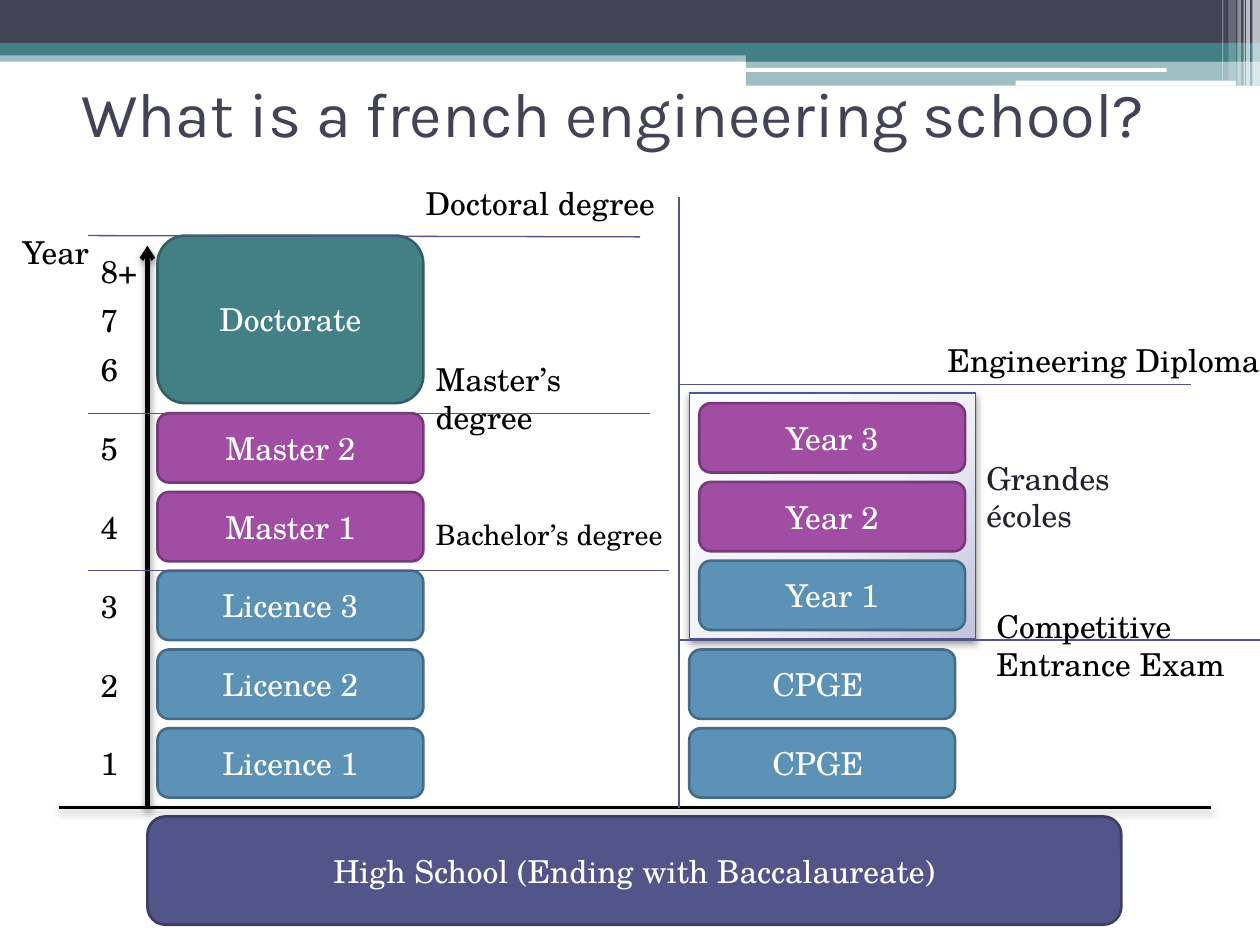
from pptx import Presentation
from pptx.dml.color import RGBColor
from pptx.enum.shapes import MSO_CONNECTOR, MSO_SHAPE
from pptx.enum.text import MSO_ANCHOR, PP_ALIGN
from pptx.oxml import parse_xml
from pptx.oxml.ns import nsdecls, qn
from pptx.util import Inches, Pt
from lxml.etree import SubElement

WHITE = RGBColor(0xFF, 0xFF, 0xFF)
BLACK = RGBColor(0, 0, 0)
INK = RGBColor(0x21, 0x22, 0x2B)
SLATE = RGBColor(0x42, 0x44, 0x56)
TEAL = RGBColor(0x43, 0x80, 0x86)
PINE = RGBColor(0x32, 0x5F, 0x63)
INDIGO = RGBColor(0x53, 0x54, 0x8A)
NAVY = RGBColor(0x3D, 0x3E, 0x66)
BLUE = RGBColor(0x5C, 0x92, 0xB5)
STEEL = RGBColor(0x44, 0x6C, 0x86)
PURPLE = RGBColor(0xA0, 0x4D, 0xA3)
PLUM = RGBColor(0x76, 0x39, 0x79)

SERIF = "TeX Gyre Schola"
STEP = 0.625
BASE = 5.78
WIDE, HIGH = 2.11, 0.55
LEFT, RIGHT = 1.25, 5.47
RULE = 5.39
FLOOR = 6.41

BANDS = [
    (0, 0.4, 10, 0.09, TEAL, 50),
    (0, 0, 10, 0.34, SLATE, 100),
    (0, 0.34, 10, 0.1, TEAL, 100),
    (5.92, 0.39, 4.08, 0.1, TEAL, 100),
    (5.92, 0.48, 4.08, 0.2, TEAL, 50),
]
SLOTS = [(5.91, 0.54, 3.35, 0.03), (8.06, 0.64, 1.75, 0.04)]
STRIPES = [
    (9.94, 0.06, 0.68, 65), (9.89, 0.03, 0.68, 65), (9.87, 0.01, 0.68, 60),
    (9.82, 0.03, 0.68, 40), (9.75, 0.06, 0.64, 20), (9.7, 0.01, 0.64, 30),
]
STAGES = [
    (LEFT, 0, "Licence 1", BLUE, STEEL),
    (LEFT, 1, "Licence 2", BLUE, STEEL),
    (LEFT, 2, "Licence 3", BLUE, STEEL),
    (LEFT, 3, "Master 1", PURPLE, PLUM),
    (LEFT, 4, "Master 2", PURPLE, PLUM),
    (RIGHT, 0, "CPGE ", BLUE, STEEL),
    (RIGHT, 1, "CPGE ", BLUE, STEEL),
]
SCHOOL = [("Year 1", BLUE, STEEL), ("Year 2", PURPLE, PLUM), ("Year 3", PURPLE, PLUM)]
RULES = [
    (5.31, 4.53, 0.7, 4.53), (5.16, 3.28, 0.7, 3.28), (5.08, 1.88, 0.7, 1.87),
    (RULE, FLOOR, RULE, 1.56), (10, 5.08, RULE, 5.08), (9.45, 3.05, RULE, 3.05),
]
LABELS = [
    ("Bachelor’s degree", 3.36, 4.06, 2.19, 0.37, 16, BLACK),
    ("Master’s degree", 3.36, 2.81, 2.03, 0.4, 18, BLACK),
    ("Doctoral degree", 3.28, 1.41, 2.03, 0.4, 18, BLACK),
    ("Year", 0.08, 1.8, 0.94, 0.4, 18, BLACK),
    ("Competitive Entrance Exam", 7.81, 4.77, 2.19, 0.71, 18, BLACK),
    ("Grandes écoles", 7.73, 3.59, 1.88, 0.4, 18, INK),
    ("Engineering Diploma", 7.42, 2.66, 2.81, 0.4, 18, BLACK),
]


def apply(item, values):
    for name, value in values.items():
        setattr(item, name, value)


def write(shape, text, size, color, face=SERIF, align=PP_ALIGN.LEFT, anchor=MSO_ANCHOR.TOP):
    frame = shape.text_frame
    apply(frame, {"word_wrap": True, "vertical_anchor": anchor})
    line = frame.paragraphs[0]
    line.alignment = align
    run = line.add_run()
    run.text = text
    apply(run.font, {"name": face, "size": Pt(size)})
    run.font.color.rgb = color


def add_box(slide, kind, left, top, width, height, fill, alpha=100):
    shape = slide.shapes.add_shape(
        kind, Inches(left), Inches(top), Inches(width), Inches(height))
    shape.shadow.inherit = False
    shape.fill.solid()
    shape.fill.fore_color.rgb = fill
    shape.line.fill.background()
    if alpha < 100:
        tint = shape.element.spPr.find(qn("a:solidFill"))[0]
        SubElement(tint, qn("a:alpha"), val=str(alpha * 1000))
    return shape


def outline(shape, color, width):
    shape.line.color.rgb = color
    shape.line.width = Pt(width)


def add_stage(slide, left, top, text, fill, edge, width=WIDE, height=HIGH):
    shape = add_box(slide, MSO_SHAPE.ROUNDED_RECTANGLE, left, top, width, height, fill)
    outline(shape, edge, 1.5)
    write(shape, text, 18, WHITE, align=PP_ALIGN.CENTER, anchor=MSO_ANCHOR.MIDDLE)


def add_label(slide, text, left, top, width, height, size, color, **style):
    box = slide.shapes.add_textbox(
        Inches(left), Inches(top), Inches(width), Inches(height))
    write(box, text, size, color, **style)


def cast(effects, alpha, blur):
    shade = SubElement(effects, qn("a:outerShdw"), blurRad=str(Pt(blur)),
                       dist=str(Pt(2)), dir="5400000", rotWithShape="0")
    tint = SubElement(shade, qn("a:srgbClr"), val=str(BLACK))
    SubElement(tint, qn("a:alpha"), val=str(alpha * 1000))


def add_line(slide, x1, y1, x2, y2, color=INDIGO, width=0.75):
    line = slide.shapes.add_connector(
        MSO_CONNECTOR.STRAIGHT, Inches(x1), Inches(y1), Inches(x2), Inches(y2))
    outline(line, color, width)
    return line, SubElement(line.element.spPr, qn("a:effectLst"))


def add_panel(slide):
    panel = add_box(slide, MSO_SHAPE.ROUNDED_RECTANGLE, RIGHT, 3.12, 2.27, 1.95, WHITE)
    panel.adjustments[0] = 0
    outline(panel, INDIGO, 0.75)
    props = panel.element.spPr
    stops = "".join(
        f'<a:gs pos="{spot * 1000}"><a:srgbClr val="{tint}"/></a:gs>'
        for spot, tint in [(0, "FEFEFE"), (55, "F0F1F7"), (100, "C2C2DD")])
    blend = parse_xml(
        f'<a:gradFill {nsdecls("a")} rotWithShape="1"><a:gsLst>{stops}</a:gsLst>'
        '<a:path path="circle"><a:fillToRect l="-40000" t="-90000" '
        'r="140000" b="190000"/></a:path></a:gradFill>')
    props.replace(props.find(qn("a:solidFill")), blend)
    cast(props.find(qn("a:effectLst")), 40, 4.1)


def add_header(slide):
    for left, top, width, height, fill, alpha in BANDS:
        add_box(slide, MSO_SHAPE.RECTANGLE, left, top, width, height, fill, alpha)
    for slot in SLOTS:
        add_box(slide, MSO_SHAPE.ROUNDED_RECTANGLE, *slot, WHITE)
    for left, width, height, alpha in STRIPES:
        add_box(slide, MSO_SHAPE.RECTANGLE, left, 0, width, height, WHITE, alpha)


def add_axes(slide):
    _, effects = add_line(slide, 0.47, FLOOR, 9.61, FLOOR, BLACK, 1.5)
    cast(effects, 40, 4.1)
    arrow, effects = add_line(slide, 1.17, FLOOR, 1.17, 1.95, BLACK, 2.5)
    cast(effects, 45, 4)
    SubElement(arrow.element.spPr.find(qn("a:ln")), qn("a:tailEnd"), type="arrow")


def add_years(slide):
    for row in range(5):
        add_label(slide, str(row + 1), 0.7, 5.86 - row * STEP, 0.39, 0.4, 18, BLACK)
    for row, (text, width) in enumerate([("6", 0.39), ("7", 0.39), ("8+", 0.55)]):
        add_label(slide, text, 0.7, 2.73 - row * 0.39, width, 0.4, 18, BLACK)


def main():
    deck = Presentation()
    apply(deck, {"slide_width": Inches(10), "slide_height": Inches(7.5)})
    slide = deck.slides.add_slide(deck.slide_layouts[6])
    add_header(slide)
    add_panel(slide)
    add_label(slide, "What is a french engineering school?", 0.55, 0.31, 9, 1.17,
              36, SLATE, face="Karla", anchor=MSO_ANCHOR.MIDDLE)
    add_stage(slide, 1.17, 6.48, "High School (Ending with Baccalaureate)",
              INDIGO, NAVY, 7.73, 0.86)
    add_axes(slide)
    for left, row, text, fill, edge in STAGES:
        add_stage(slide, left, BASE - row * STEP, text, fill, edge)
    add_stage(slide, LEFT, 1.87, "Doctorate", TEAL, PINE, height=1.33)
    for rule in RULES:
        add_line(slide, *rule)
    for row, (text, fill, edge) in enumerate(SCHOOL):
        add_stage(slide, 5.55, 4.45 - row * STEP, text, fill, edge)
    add_years(slide)
    for label in LABELS:
        add_label(slide, *label)
    deck.save("out.pptx")


main()
